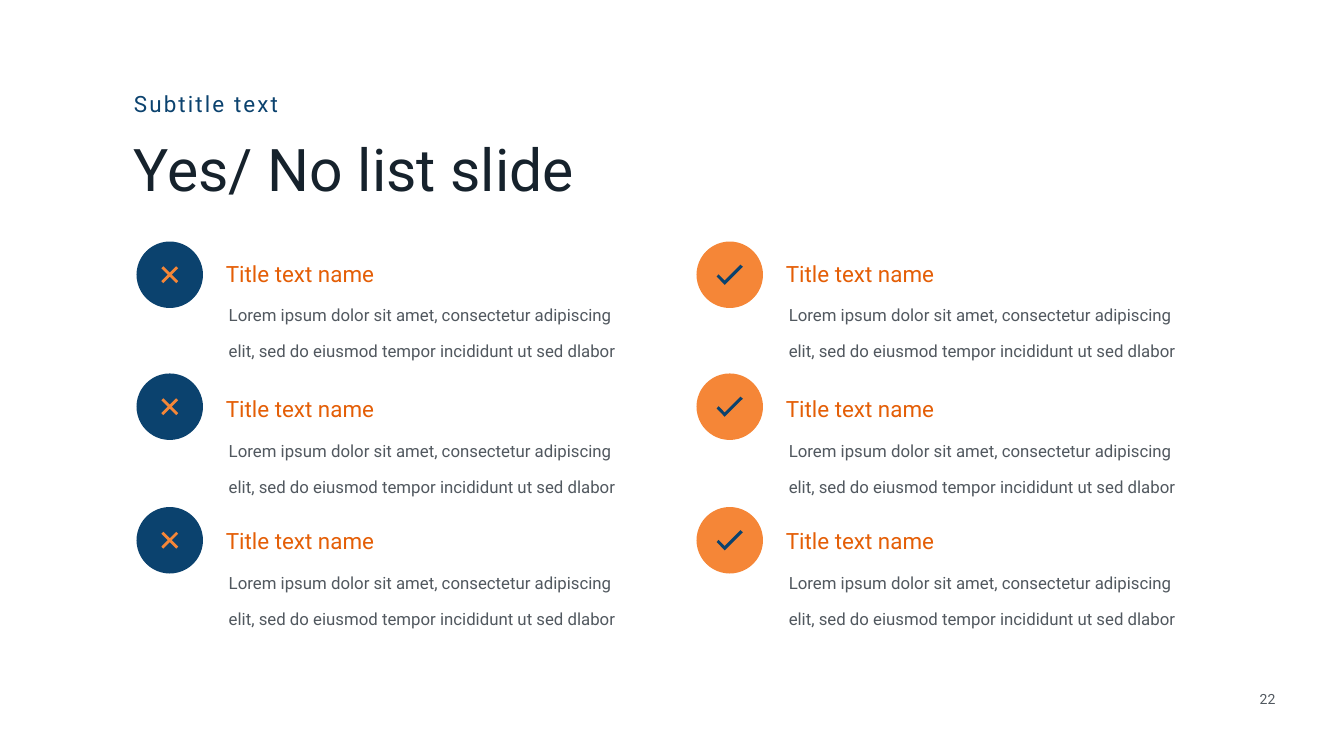
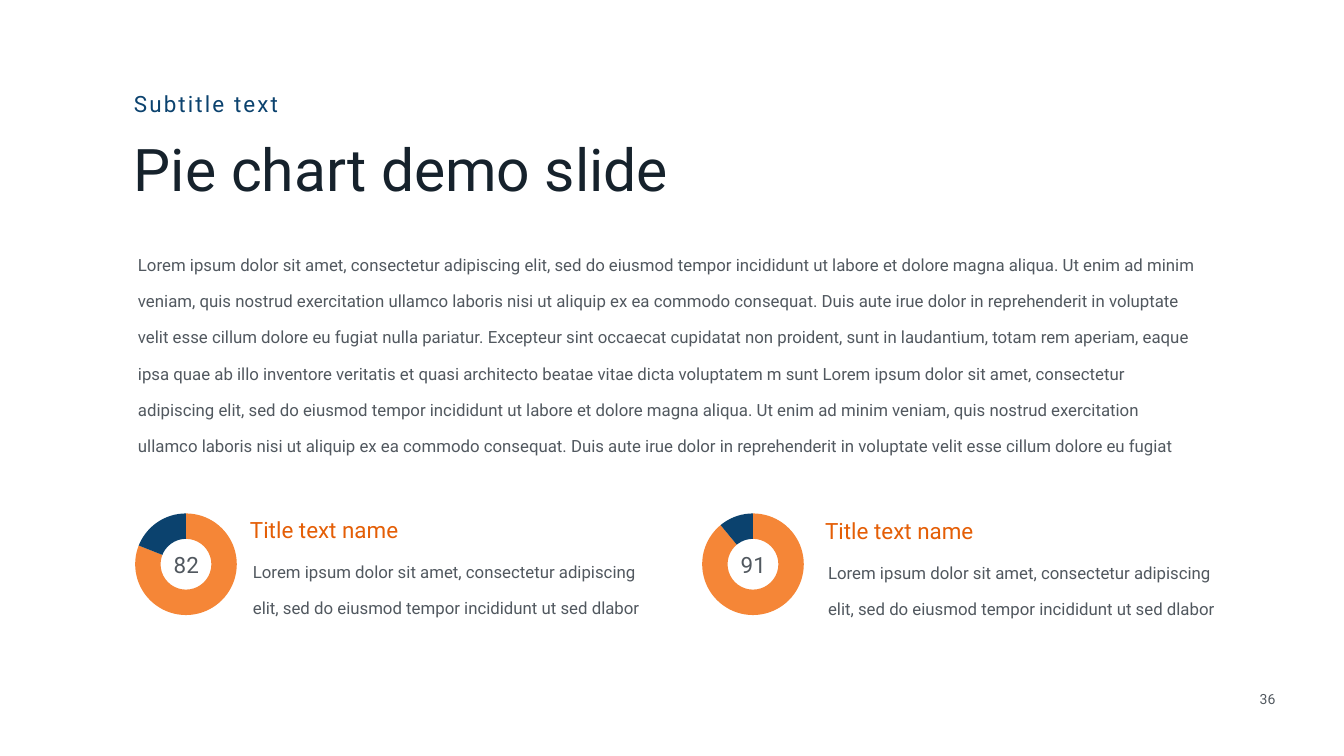
from dataclasses import dataclass

from lxml import etree
from pptx import Presentation
from pptx import util as u
from pptx.chart import data as chart_data
from pptx.dml import color
from pptx.enum import chart as charts, shapes, text

Pt = u.Pt
TOP, MIDDLE = text.MSO_ANCHOR.TOP, text.MSO_ANCHOR.MIDDLE
LEFT, CENTER = text.PP_ALIGN.LEFT, text.PP_ALIGN.CENTER
GROW = text.MSO_AUTO_SIZE.SHAPE_TO_FIT_TEXT
FIXED = text.MSO_AUTO_SIZE.NONE


# Theme: every colour and type size
@dataclass(frozen=True)
class Theme:
    font: str = "Roboto"
    chart_font: str = "Arial"
    navy: str = "0B426E"
    orange: str = "F58637"
    heading: str = "E45E06"
    ink: str = "16222C"
    grey: str = "51585F"
    chart_text: str = "FEFFFF"
    title_size: int = 84
    heading_size: int = 32
    body_size: int = 24
    page_size: int = 20
    chart_size: int = 10
    body_spacing: float = 1.8
    subtitle_tracking: int = 300
    inset: float = 2.9


THEME = Theme()

# Wording
ITEM_TITLE = "Title text name"
LOREM = ("Lorem ipsum dolor sit amet, consectetur adipiscing elit, "
         "sed do eiusmod tempor incididunt ut")
ITEM_BODY = LOREM + " sed dlabor"
OPENING = LOREM + (
    " labore et dolore magna aliqua. Ut enim ad minim veniam, quis nostrud "
    "exercitation ullamco laboris nisi ut aliquip ex ea commodo consequat. "
    "Duis aute irue dolor in reprehenderit in voluptate velit esse cillum "
    "dolore eu fugiat")
MIDDLE_PART = (
    "nulla pariatur. Excepteur sint occaecat cupidatat non proident, sunt in "
    "laudantium, totam rem aperiam, eaque ipsa quae ab illo inventore "
    "veritatis et quasi architecto beatae vitae dicta voluptatem m sunt")

# Badge marks: outline points, size and rotation
CROSS = dict(
    outline=[(13, 0), (17, 0), (17, 13), (30, 13), (30, 17), (17, 17),
             (17, 30), (13, 30), (13, 17), (0, 17), (0, 13), (13, 13)],
    size=(30, 30), rotation=45)
CHECK = dict(
    outline=[(11.5, 22.7), (2.7, 13.8), (0, 17), (11.5, 28.8), (37.4, 3),
             (34, 0)],
    size=(37.4, 28.8), rotation=0)
BADGE = 95


def rgb(value):
    return color.RGBColor.from_string(value)


def apply(target, formats):
    for name, value in formats.items():
        setattr(target, name, value)


class Deck:
    """Holds the style and the current slide."""

    def __init__(self, theme):
        self.theme = theme
        self.prs = Presentation()
        apply(self.prs, dict(slide_width=Pt(1920), slide_height=Pt(1080)))
        self.slide = None

    def new_slide(self, title, page):
        t = self.theme
        self.slide = self.prs.slides.add_slide(self.prs.slide_layouts[6])
        self.label(page, (1775.5, 983.5, 70.5, 30), t.page_size, t.grey,
                   align=CENTER, auto_size=GROW)
        self.label(title, (188.5, 186.5, 775, 124.5), t.title_size, t.ink)
        subtitle = self.label("Subtitle text", (188.5, 126, 440.5, 44.5),
                              t.heading_size, t.navy, anchor=MIDDLE,
                              auto_size=GROW)
        subtitle.font._element.set("spc", str(t.subtitle_tracking))

    def label(self, wording, box, size, fill, align=LEFT, spacing=1.0,
              anchor=TOP, auto_size=FIXED, insets=None):
        side, edge = insets or (self.theme.inset,) * 2
        frame = self.slide.shapes.add_textbox(*map(Pt, box)).text_frame
        apply(frame, dict(
            margin_left=Pt(side), margin_right=Pt(side), margin_top=Pt(edge),
            margin_bottom=Pt(edge), word_wrap=True, auto_size=auto_size,
            vertical_anchor=anchor))
        paragraph = frame.paragraphs[0]
        apply(paragraph, dict(alignment=align, line_spacing=spacing))
        run = paragraph.add_run()
        run.text = wording
        apply(run.font, dict(name=self.theme.font, size=Pt(size)))
        run.font.color.rgb = rgb(fill)
        return run

    def body(self, wording, box):
        t = self.theme
        self.label(wording, box, t.body_size, t.grey, spacing=t.body_spacing,
                   auto_size=GROW, insets=(7.2, 3.6))

    def item(self, left, top):
        t = self.theme
        self.body(ITEM_BODY, (left, top + 41, 583, 112))
        self.label(ITEM_TITLE, (left, top, 274.5, 62.5), t.heading_size,
                   t.heading)

    def paint(self, shape, fill):
        shape.shadow.inherit = False
        shape.fill.solid()
        shape.fill.fore_color.rgb = rgb(fill)
        shape.line.fill.background()

    def badge(self, left, top, mark, disc_fill, mark_fill):
        disc = self.slide.shapes.add_shape(
            shapes.MSO_SHAPE.OVAL, Pt(left), Pt(top), Pt(BADGE), Pt(BADGE))
        self.paint(disc, disc_fill)
        width, height = mark["size"]
        x, y = left + (BADGE - width) / 2, top + (BADGE - height) / 2
        points = [(Pt(x + dx), Pt(y + dy)) for dx, dy in mark["outline"]]
        builder = self.slide.shapes.build_freeform(*points[0])
        builder.add_line_segments(points[1:], close=True)
        symbol = builder.convert_to_shape()
        symbol.rotation = mark["rotation"]
        self.paint(symbol, mark_fill)

    def ring(self, left, top, values, score):
        t = self.theme
        data = chart_data.CategoryChartData()
        data.categories = ["1", "2"]
        data.add_series("Series 1", values)
        chart = self.slide.shapes.add_chart(
            charts.XL_CHART_TYPE.DOUGHNUT, Pt(left), Pt(top), Pt(170),
            Pt(165), data).chart
        apply(chart, dict(has_legend=False, has_title=False))
        apply(chart.font, dict(name=t.chart_font, size=Pt(t.chart_size)))
        chart.font.color.rgb = rgb(t.chart_text)
        plot = chart.plots[0]
        plot.vary_by_categories = True
        for index, fill in enumerate((t.orange, t.navy)):
            slice_format = plot.series[0].points[index].format
            slice_format.fill.solid()
            slice_format.fill.fore_color.rgb = rgb(fill)
            slice_format.line.fill.background()
        self.shape_ring(chart)
        self.label(score, (left + 35, top + 60.5, 101, 62.5),
                   t.heading_size, t.grey, align=CENTER)

    def shape_ring(self, chart):
        """Sets the hole size and the place of the ring in its frame."""
        area = chart._chartSpace.chart.plotArea
        ns = area.nsmap["c"]
        area.find(f".//{{{ns}}}holeSize").set("val", "72")
        for old in area.findall(f"{{{ns}}}layout"):
            area.remove(old)
        layout = etree.Element(f"{{{ns}}}layout")
        manual = etree.SubElement(layout, f"{{{ns}}}manualLayout")
        for tag, value in (("layoutTarget", "inner"), ("xMode", "edge"),
                           ("yMode", "edge"), ("x", "0.07"), ("y", "0.06"),
                           ("w", "0.86"), ("h", "0.88")):
            etree.SubElement(manual, f"{{{ns}}}{tag}").set("val", value)
        area.insert(0, layout)


def yes_no_slide(deck):
    t = deck.theme
    deck.new_slide("Yes/ No list slide", "22")
    columns = ((0, CROSS, t.navy, t.orange), (800, CHECK, t.orange, t.navy))
    rows = ((345, 368), (533.5, 561.6), (724.3, 750.2))
    for shift, mark, disc_fill, mark_fill in columns:
        for badge_top, item_top in rows:
            deck.item(319.7 + shift, item_top)
            deck.badge(195 + shift, badge_top, mark, disc_fill, mark_fill)


def pie_slide(deck):
    deck.new_slide("Pie chart demo slide", "36")
    rings = ((180.7, 354.2, 734.4, (81, 19), "82"),
             (990.7, 1175.8, 735.8, (89, 11), "91"))
    for ring_left, item_left, item_top, values, score in rings:
        deck.item(item_left, item_top)
        deck.ring(ring_left, 723.6, values, score)
    intro = " ".join((OPENING, MIDDLE_PART, OPENING))
    deck.body(intro, (190, 337, 1535, 321))


def main():
    deck = Deck(THEME)
    yes_no_slide(deck)
    pie_slide(deck)
    deck.prs.save("out.pptx")


if __name__ == "__main__":
    main()
